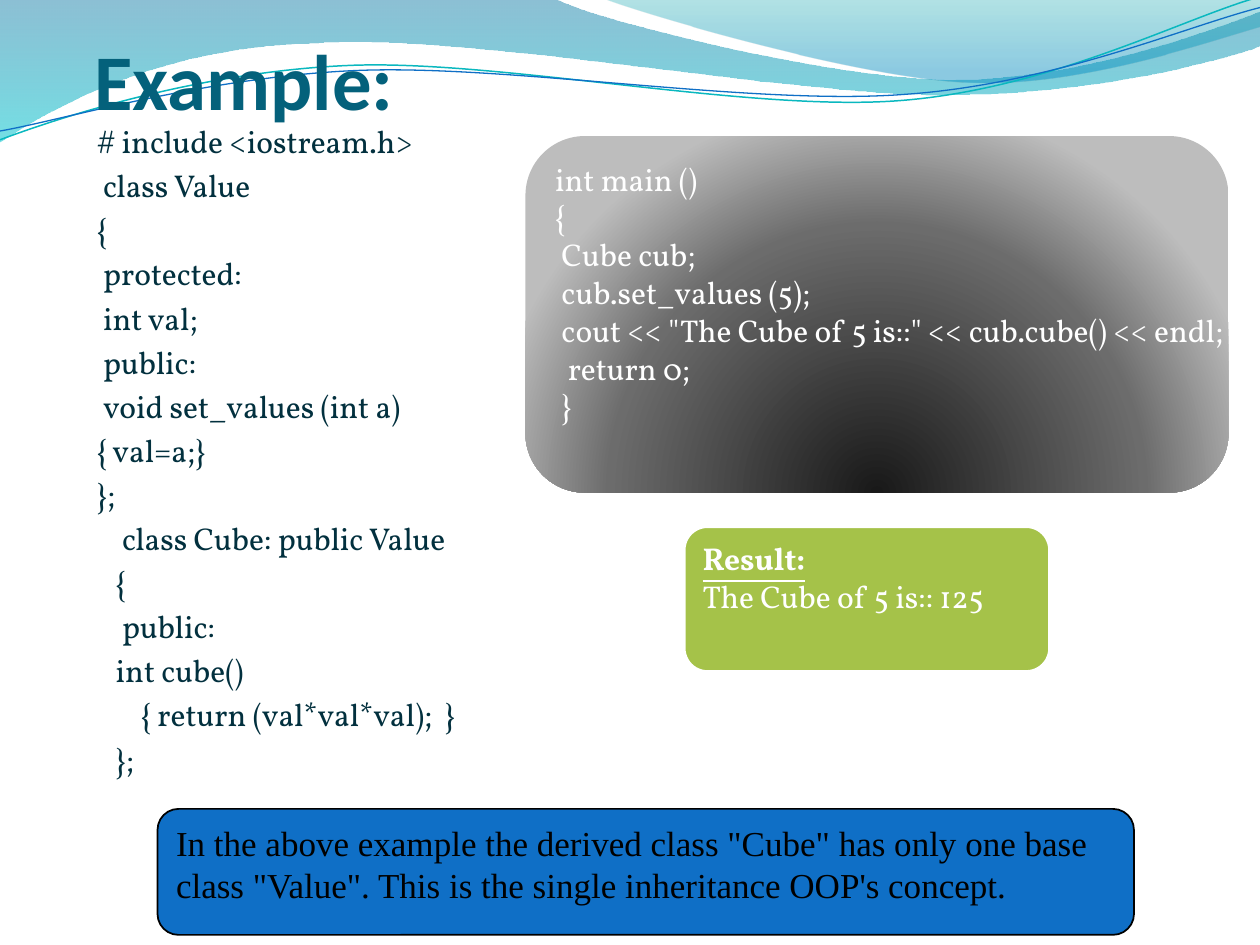
from lxml.etree import SubElement
from pptx import Presentation
from pptx.dml.color import RGBColor
from pptx.enum.shapes import MSO_SHAPE
from pptx.enum.text import MSO_ANCHOR, PP_ALIGN
from pptx.oxml.ns import qn
from pptx.util import Inches, Pt

SERIF = "Vollkorn"
BAND = [[(0, 0)], [(4.4, -0.01)],
        [(4.76, 0.17), (6.64, 0.63), (7.58, 0.63)],
        [(8.53, 0.63), (9.58, 0.26), (10, 0.09)], [(10.01, 0.36)],
        [(9.83, 0.44), (8.7, 0.76), (7.46, 0.75)],
        [(6.22, 0.75), (3.82, 0.28), (2.57, 0.34)],
        [(1.29, 0.36), (0.46, 0.83), (-0.01, 1.13)]]
CREST = [[(4.79, -0.01)],
         [(5.09, 0.11), (6.82, 0.62), (7.69, 0.65)],
         [(8.56, 0.69), (9.61, 0.32), (10, 0.21)], [(10, 0)]]
TEAL = [[(0, 1.11)],
        [(0.48, 0.93), (1.58, 0.57), (2.77, 0.52)],
        [(3.95, 0.47), (5.93, 0.89), (7.13, 0.8)],
        [(8.33, 0.71), (9.38, 0.15), (9.98, -0.02)]]
BLUE = [[(0, 1.04)],
        [(0.47, 0.96), (1.64, 0.61), (2.83, 0.56)],
        [(4.03, 0.51), (5.97, 0.84), (7.17, 0.75)],
        [(8.36, 0.67), (9.41, 0.21), (10, 0.06)]]
CLASSES = """\
     # include <iostream.h>
      class Value
     {
      protected:
      int val;
      public:
      void set_values (int a)
     { val=a;}
     };
         class Cube: public Value
        {
         public:
        int cube()
            { return (val*val*val);  }
        };"""
MAIN = """\
int main ()
{
 Cube cub;
 cub.set_values (5);
 cout << "The Cube of 5 is::" << cub.cube() << endl;
  return 0;
 }"""
NOTE = """\
In the above example the derived class "Cube" has only one base
class "Value". This is the single inheritance OOP's concept."""


def color(code):
    """Turn a hex string into a colour."""
    return RGBColor.from_string(code)


def style(font, name, size, code, bold=None):
    """Set the look of a font."""
    font.name, font.size, font.bold = name, Pt(size), bold
    font.color.rgb = color(code)


def bend(shape, parts):
    """Turn each run of three segments into one cubic curve."""
    lines = shape.element.spPr.iter(qn("a:lnTo"))
    lines = iter(list(lines))
    for part in parts[1:]:
        group = [next(lines) for _ in part]
        if len(group) == 3:
            curve = group[0].makeelement(qn("a:cubicBezTo"))
            group[0].addprevious(curve)
            for line in group:
                curve.append(line[0])
                line.getparent().remove(line)


def blend(shape, stops, focus=None):
    """Fill a shape with a downward or a circular gradient."""
    shape.fill.gradient()
    grad = shape.element.spPr.find(qn("a:gradFill"))
    for child in list(grad):
        grad.remove(child)
    group = SubElement(grad, qn("a:gsLst"))
    for pos, code, alpha in stops:
        stop = SubElement(group, qn("a:gs"), pos=str(pos * 1000))
        tint = SubElement(stop, qn("a:srgbClr"), val=code)
        if alpha < 100:
            SubElement(tint, qn("a:alpha"), val=str(alpha * 1000))
    if focus:
        ring = SubElement(grad, qn("a:path"), path="circle")
        sides = {side: str(n * 1000) for side, n in zip("ltrb", focus)}
        SubElement(ring, qn("a:fillToRect"), **sides)
    else:
        SubElement(grad, qn("a:lin"), ang="5400000", scaled="0")


def wave(slide, parts, stops=None, line=None, width=0):
    """Draw a filled wave or a wavy line."""
    start, *rest = [(Inches(x), Inches(y)) for part in parts for x, y in part]
    pen = slide.shapes.build_freeform(*start, scale=1.0)
    pen.add_line_segments(rest, close=bool(stops))
    shape = pen.convert_to_shape()
    bend(shape, parts)
    shape.shadow.inherit = False
    if stops:
        blend(shape, stops)
        shape.line.fill.background()
    else:
        shape.fill.background()
        shape.line.color.rgb = color(line)
        shape.line.width = Pt(width)


def panel(slide, box, fill=None, line=None, width=1):
    """Add a rounded box with text at its top left."""
    shape = slide.shapes.add_shape(MSO_SHAPE.ROUNDED_RECTANGLE, *map(Inches, box))
    shape.shadow.inherit = False
    if fill:
        shape.fill.solid()
        shape.fill.fore_color.rgb = color(fill)
    if line:
        shape.line.color.rgb = color(line)
        shape.line.width = Pt(width)
    else:
        shape.line.fill.background()
    shape.text_frame.word_wrap = False
    shape.text_frame.vertical_anchor = MSO_ANCHOR.TOP
    return shape


def write(frame, text, name, size, code, gap=0):
    """Write lines, with leading spaces as indents."""
    for i, line in enumerate(text.split("\n")):
        para = frame.add_paragraph() if i else frame.paragraphs[0]
        para.text = line.lstrip()
        para.alignment = PP_ALIGN.LEFT
        para.space_before = Pt(gap)
        style(para.font, name, size, code)
        depth = len(line) - len(para.text)
        para._p.get_or_add_pPr().set("marL", str(Inches(0.05 * depth)))


def head(slide):
    """Place the title above the waves."""
    title = slide.shapes.title
    title.left, title.top = Inches(0.75), Inches(0.17)
    title.width, title.height = Inches(8.5), Inches(0.83)
    frame = title.text_frame
    frame.margin_left = frame.margin_right = frame.margin_bottom = 0
    frame.vertical_anchor = MSO_ANCHOR.BOTTOM
    para = frame.paragraphs[0]
    para.text, para.alignment = "Example:", PP_ALIGN.LEFT
    style(para.font, "Calibri", 45, "04617B", True)
    slide.shapes.element.append(title.element)


def result(slide):
    """Add the box with the program's output."""
    shape = panel(slide, (5.42, 4.17, 2.92, 1.17), "A5C249", "FFFFFF", 3)
    para = shape.text_frame.paragraphs[0]
    para.alignment = PP_ALIGN.LEFT
    style(para.font, SERIF, 18, "FFFFFF")
    label = para.add_run()
    label.text = "Result:"
    label.font.bold = label.font.underline = True
    para.add_line_break()
    para.add_run().text = "The Cube of 5 is:: 125"


def main():
    """Build the slide."""
    deck = Presentation()
    deck.slide_width, deck.slide_height = Inches(10), Inches(7.5)
    slide = deck.slides.add_slide(deck.slide_layouts[5])
    wave(slide, BAND, [(0, "0074A1", 45), (100, "00C6CF", 55)])
    wave(slide, CREST, [(0, "00A1A9", 30), (80, "008BBF", 45)])
    wave(slide, TEAL, line="0AB8BF", width=0.85)
    wave(slide, BLUE, line="0F6FC6", width=0.75)
    head(slide)
    body = slide.shapes.add_textbox(*map(Inches, (0.42, 0.92, 4.25, 5.75)))
    body.text_frame.word_wrap = True
    write(body.text_frame, CLASSES, SERIF, 18, "02303E", 3.6)
    code = panel(slide, (4.17, 1.08, 5.58, 2.83))
    blend(code, [(0, "191919", 100), (68, "6C6C6C", 100), (100, "BDBDBD", 100)],
          (50, 130, 50, -30))
    write(code.text_frame, MAIN, SERIF, 18, "FFFFFF")
    result(slide)
    note = panel(slide, (1.25, 6.42, 7.75, 1), "0F6FC6", "000000")
    write(note.text_frame, NOTE, "Times New Roman", 20, "000000")
    deck.save("out.pptx")


if __name__ == "__main__":
    main()
